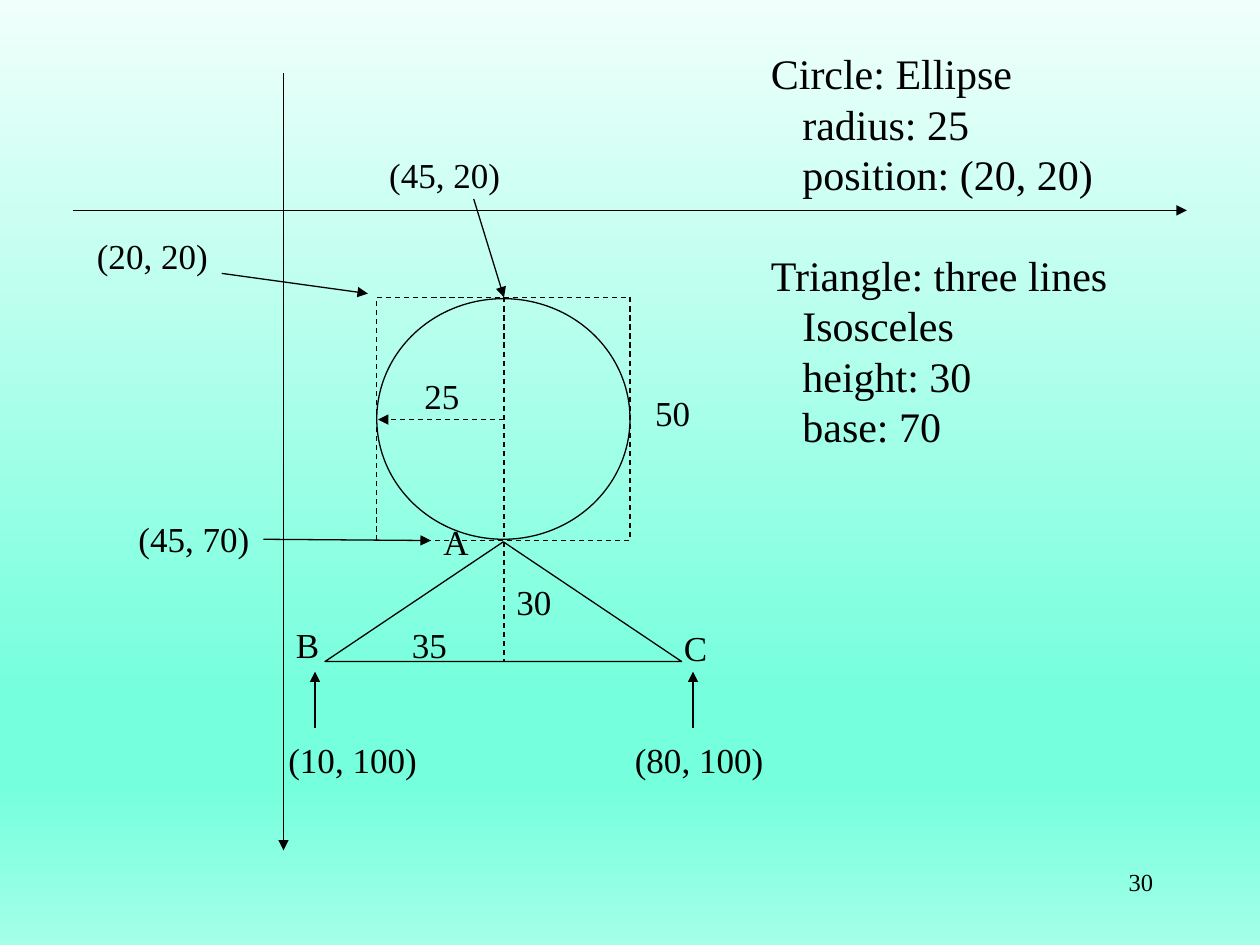
from lxml import etree
from pptx import Presentation
from pptx.dml.color import RGBColor
from pptx.enum import dml, shapes, text
from pptx.oxml.ns import qn
from pptx.util import Inches, Pt

BLACK = RGBColor(0x00, 0x00, 0x00)
PALE_MINT = RGBColor(0xF0, 0xFF, 0xFB)
AQUA = RGBColor(0x75, 0xFF, 0xDD)
LIGHT_AQUA = RGBColor(0xA3, 0xFF, 0xE8)
GRADIENT = [(0, PALE_MINT), (74, AQUA), (83, AQUA), (100, LIGHT_AQUA)]
FONT = "Times New Roman"
CENTER_X = 4

LABELS = [
    ("(20, 20)", 0.67, 1.81, 1.09),
    ("(45, 70)", 1, 4.06, 1.09),
    ("(80, 100)", 4.94, 5.81, 1.23),
    ("(10, 100)", 2.19, 5.81, 1.23),
    ("(45, 20)", 2.99, 1.17, 1.09),
    ("A", 3.42, 4.08, 0.58),
    ("B", 2.25, 4.9, 0.58),
    ("C", 5.33, 4.92, 0.58),
    ("30", 4, 4.56, 0.48),
    ("35", 3.17, 4.9, 0.48),
    ("25", 3.27, 2.92, 0.48),
    ("50", 5.1, 3.06, 0.48),
]
AXES = [((0.58, 1.67), (9.42, 1.67)), ((2.25, 0.58), (2.25, 6.75))]
POINTERS = [
    ((1.76, 2.17), (2.92, 2.33)),
    ((2.09, 4.28), (3.42, 4.29)),
    ((2.5, 5.78), (2.5, 5.33)),
    ((5.5, 5.78), (5.5, 5.33)),
    ((3.76, 1.58), (CENTER_X, 2.36)),
]
FACTS = [
    ("Circle: Ellipse", ["radius: 25", "position: (20, 20)"]),
    ("Triangle: three lines", ["Isosceles", "height: 30", "base: 70"]),
]


def paint_background(slide):
    fill = slide.background.fill
    fill.gradient()
    fill.gradient_angle = 270
    stops = slide.background._cSld.find(".//" + qn("a:gsLst"))
    stops.clear()
    for percent, color in GRADIENT:
        stop = etree.SubElement(stops, qn("a:gs"), pos=str(percent * 1000))
        etree.SubElement(stop, qn("a:srgbClr"), val=str(color))


def style_line(line, dashed):
    line.color.rgb = BLACK
    line.width = Pt(0.75)
    if dashed:
        line.dash_style = dml.MSO_LINE.DASH


def add_line(slide, start, end, dashed=False, arrow=True):
    connector = slide.shapes.add_connector(
        shapes.MSO_CONNECTOR.STRAIGHT, *map(Inches, start + end))
    style_line(connector.line, dashed)
    if arrow:
        etree.SubElement(connector.line._get_or_add_ln(), qn("a:tailEnd"), type="triangle")
    etree.SubElement(connector._element.spPr, qn("a:effectLst"))


def add_outline(slide, kind, left, top, width, height, dashed=False):
    outline = slide.shapes.add_shape(kind, *map(Inches, (left, top, width, height)))
    outline.shadow.inherit = False
    outline.fill.background()
    style_line(outline.line, dashed)


def add_text_frame(slide, left, top, width, height):
    frame = slide.shapes.add_textbox(*map(Inches, (left, top, width, height))).text_frame
    frame.word_wrap = True
    return frame


def write(paragraph, wording, size):
    paragraph.text = wording
    paragraph.font.name = FONT
    paragraph.font.size = Pt(size)
    paragraph.font.color.rgb = BLACK


def add_label(slide, wording, left, top, width):
    frame = add_text_frame(slide, left, top, width, 0.44)
    frame.word_wrap = len(wording) == 1
    write(frame.paragraphs[0], wording, 20)


def add_facts(slide):
    frame = add_text_frame(slide, 6.02, 0.33, 2.9, 3.33)
    line_height = Pt(28.8)
    paragraph = frame.paragraphs[0]
    for index, (heading, details) in enumerate(FACTS):
        if index:
            paragraph = frame.add_paragraph()
            paragraph.space_before = line_height
        write(paragraph, heading, 24)
        paragraph.line_spacing = line_height
        for detail in details:
            paragraph = frame.add_paragraph()
            write(paragraph, detail, 24)
            paragraph.line_spacing = line_height
            properties = paragraph._p.get_or_add_pPr()
            properties.set("marL", str(Inches(0.25)))
            properties.set("indent", "0")


def add_page_number(slide):
    paragraph = add_text_frame(slide, 7.17, 6.83, 2.08, 0.5).paragraphs[0]
    write(paragraph, "30", 14)
    paragraph.alignment = text.PP_ALIGN.RIGHT


def main():
    deck = Presentation()
    deck.slide_width, deck.slide_height = Inches(10), Inches(7.5)
    slide = deck.slides.add_slide(deck.slide_layouts[6])
    paint_background(slide)
    add_page_number(slide)
    for start, end in AXES:
        add_line(slide, start, end)
    add_outline(slide, shapes.MSO_SHAPE.OVAL, 2.99, 2.37, 2.01, 1.91)
    add_outline(slide, shapes.MSO_SHAPE.ISOSCELES_TRIANGLE, 2.58, 4.3, 2.83, 0.95)
    add_outline(slide, shapes.MSO_SHAPE.RECTANGLE, 2.99, 2.36, 2.01, 1.93, dashed=True)
    for start, end in POINTERS:
        add_line(slide, start, end)
    add_line(slide, (CENTER_X, 3.33), (3, 3.33), dashed=True)
    add_line(slide, (CENTER_X, 2.36), (CENTER_X, 4.28), dashed=True, arrow=False)
    add_line(slide, (CENTER_X, 4.3), (CENTER_X, 5.25), dashed=True, arrow=False)
    add_facts(slide)
    for label in LABELS:
        add_label(slide, *label)
    deck.save("out.pptx")


if __name__ == "__main__":
    main()
